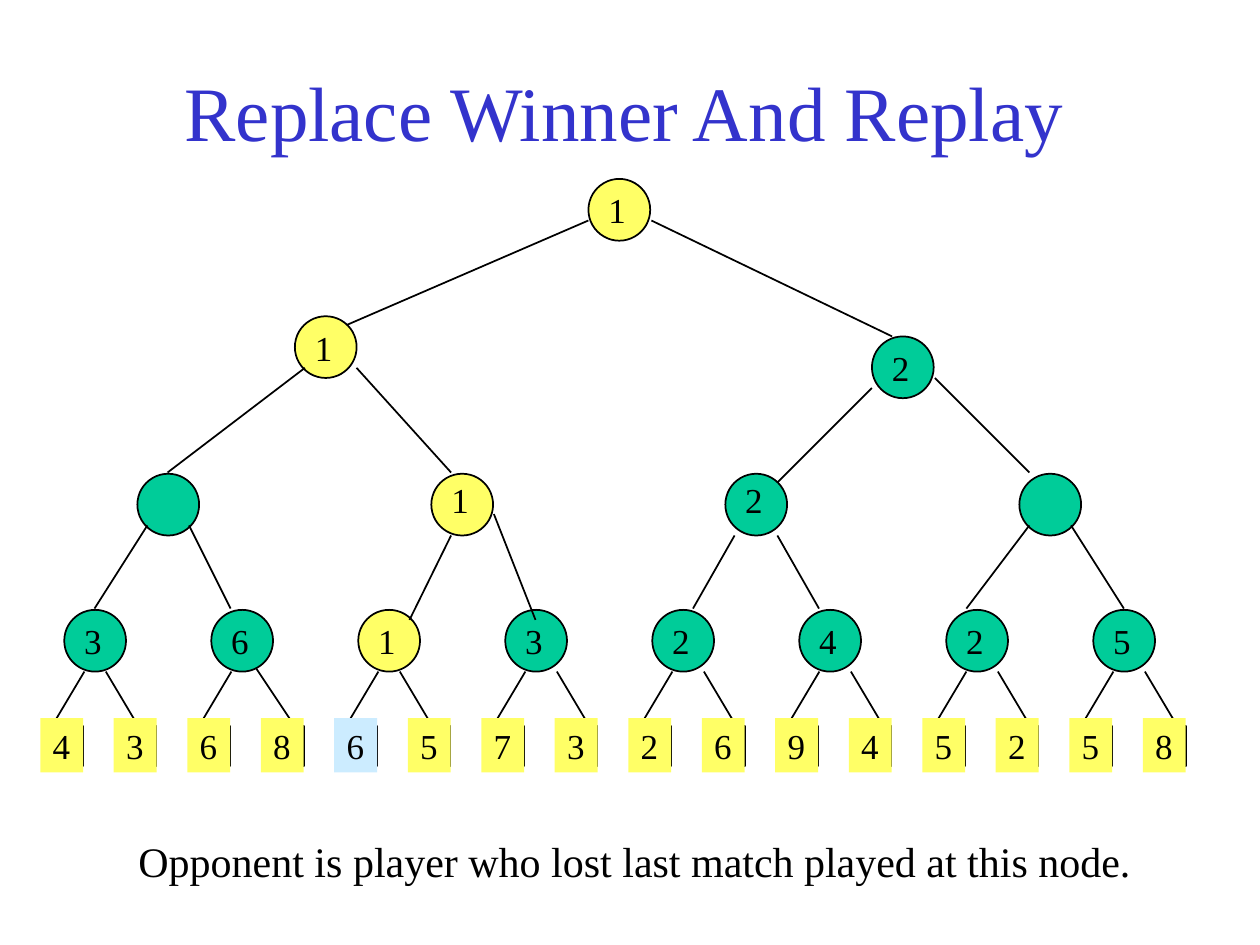
"""Build the tournament tree slide about replacing the winner and replaying."""
import pptx
import pptx.dml.color
import pptx.enum.shapes
import pptx.enum.text
import pptx.util
from pptx.util import Inches

RGBColor = pptx.dml.color.RGBColor
MSO_SHAPE = pptx.enum.shapes.MSO_SHAPE
BLACK = RGBColor(0x00, 0x00, 0x00)
WHITE = RGBColor(0xFF, 0xFF, 0xFF)
BLUE = RGBColor(0x33, 0x33, 0xCC)
YELLOW = RGBColor(0xFF, 0xFF, 0x66)
GREEN = RGBColor(0x00, 0xCC, 0x99)
PALE_BLUE = RGBColor(0xCC, 0xEC, 0xFF)
LEAF_STEP = 7 / 12
MATCH_STEP = 2 * LEAF_STEP

presentation = pptx.Presentation()
presentation.slide_width = Inches(10)
presentation.slide_height = Inches(7.5)
slide = presentation.slides.add_slide(presentation.slide_layouts[6])


def add_outlined_shape(kind, left, top, size, color):
    shape = slide.shapes.add_shape(
        kind, Inches(left), Inches(top), Inches(size), Inches(size)
    )
    shape.shadow.inherit = False
    shape.fill.solid()
    shape.fill.fore_color.rgb = color
    shape.line.color.rgb = BLACK
    shape.line.width = pptx.util.Pt(1)


def add_text(text, left, top, width=0.34, height=0.43, size=20, color=BLACK, wrap=False):
    box = slide.shapes.add_textbox(
        Inches(left), Inches(top), Inches(width), Inches(height)
    )
    box.text_frame.word_wrap = wrap
    paragraph = box.text_frame.paragraphs[0]
    paragraph.text = text
    paragraph.font.name = "Times New Roman"
    paragraph.font.size = pptx.util.Pt(size)
    paragraph.font.color.rgb = color
    return box


title = add_text("Replace Winner And Replay", 0.08, 0.25, 9.75, 1.25, 44, BLUE, True)
title.text_frame.vertical_anchor = pptx.enum.text.MSO_ANCHOR.MIDDLE
title.text_frame.paragraphs[0].alignment = pptx.enum.text.PP_ALIGN.CENTER

replaced_leaf = 4
for index in range(16):
    color = WHITE if index == replaced_leaf else YELLOW
    add_outlined_shape(MSO_SHAPE.RECTANGLE, 0.34 + index * LEAF_STEP, 5.76, 0.32, color)

nodes = [(0.51 + i * MATCH_STEP, 4.84, label, 0.03) for i, label in enumerate("36132425")]
nodes += [
    (1.09 + i * 2 * MATCH_STEP, 3.76, label, -0.01)
    for i, label in enumerate(["", "1", "2", ""])
]
nodes += [(2.34, 2.51, "1", 0.03), (6.92, 2.67, "2", 0.03), (4.67, 1.42, "1", 0.03)]
for left, top, label, drop in nodes:
    color = YELLOW if label == "1" else GREEN
    add_outlined_shape(MSO_SHAPE.OVAL, left, top, 0.49, color)

branches = [
    (4.67, 1.75, 2.75, 2.58), (5.17, 1.75, 7.08, 2.67),
    (2.42, 2.92, 1.33, 3.75), (2.83, 2.92, 3.58, 3.75),
    (6.92, 3.08, 6.17, 3.83), (7.42, 3, 8.17, 3.75),
    (1.17, 4.17, 0.75, 4.83), (1.5, 4.17, 1.83, 4.83),
    (3.58, 4.25, 3.25, 4.92), (3.92, 4.08, 4.25, 4.92),
    (5.83, 4.25, 5.5, 4.83), (6.17, 4.25, 6.5, 4.83),
    (8.17, 4.17, 7.67, 4.83), (8.5, 4.17, 8.92, 4.83),
    (2.03, 5.3, 2.33, 5.75),
]
for index in range(8):
    left_start = 0.67 + index * MATCH_STEP
    branches.append((left_start, 5.33, left_start - 0.25, 5.75))
    if index != 1:
        right_start = left_start + (0.25 if index >= 3 else 0.17)
        branches.append((right_start, 5.33, right_start + 0.25, 5.75))
for branch in branches:
    connector = slide.shapes.add_connector(
        pptx.enum.shapes.MSO_CONNECTOR.STRAIGHT, *map(Inches, branch)
    )
    connector.line.color.rgb = BLACK
    connector.line.width = pptx.util.Pt(1)
    pptx.oxml.ns.qn("a:effectLst")
    connector._element.spPr.append(pptx.oxml.parse_xml(
        '<a:effectLst xmlns:a="http://schemas.openxmlformats.org/drawingml/2006/main"/>'
    ))

for index, player in enumerate("4368657326945258"):
    leaf = add_text(player, 0.32 + index * LEAF_STEP, 5.7)
    leaf.fill.solid()
    leaf.fill.fore_color.rgb = PALE_BLUE if index == replaced_leaf else YELLOW

for left, top, label, drop in nodes:
    if label:
        add_text(label, left + 0.06, top + drop)

add_text(
    "Opponent is player who lost last match played at this node.",
    1, 6.58, 8.33, 0.5, 24, wrap=True,
)

presentation.save("out.pptx")
